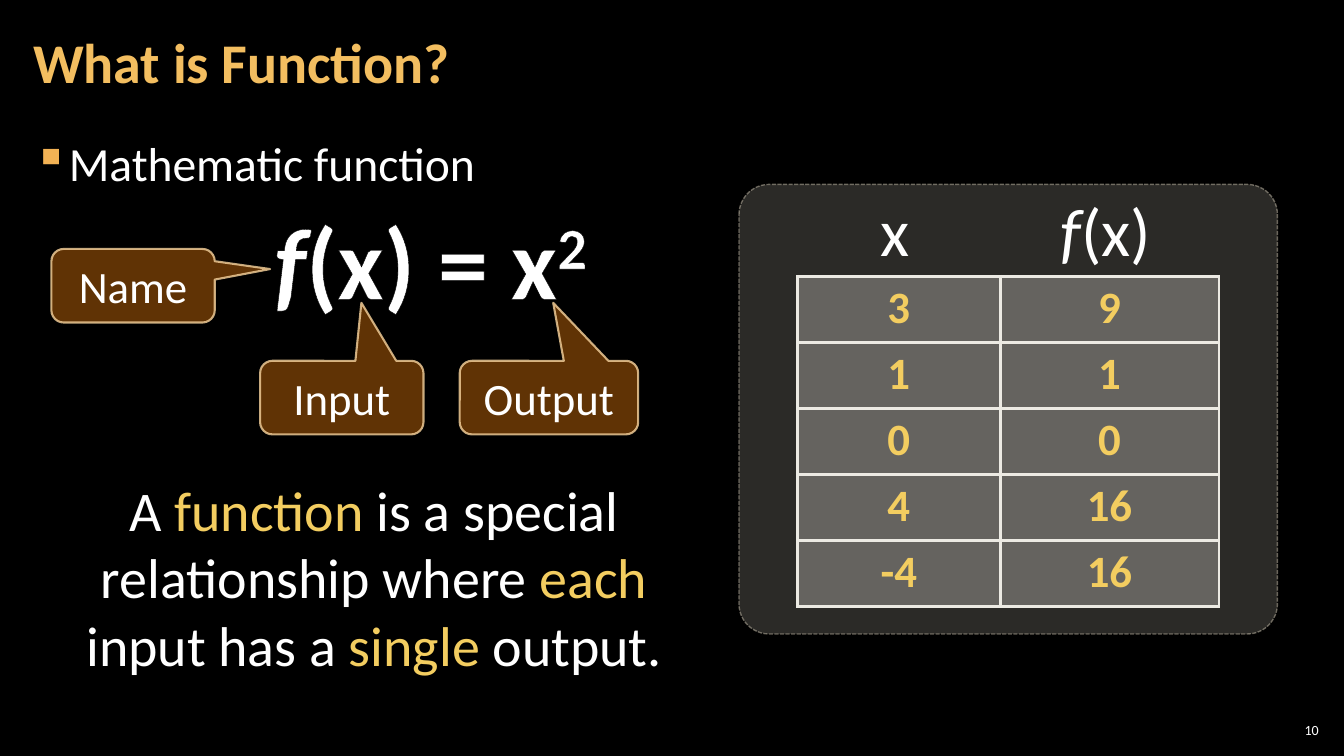
"""Build the slide that explains what a mathematical function is."""
from lxml.etree import SubElement
from pptx import Presentation
from pptx.dml.color import RGBColor
from pptx.enum.dml import MSO_LINE
from pptx.enum.shapes import MSO_SHAPE
from pptx.enum.text import MSO_ANCHOR, PP_ALIGN
from pptx.oxml import parse_xml
from pptx.oxml.ns import nsdecls, qn
from pptx.util import Inches, Pt

TITLE = "What is Function?"
TOPIC = "Mathematic function"
PAGE = "10"
FORMULA = [("f", "italic"), ("(x) = x", ""), ("2", "super")]
CALLOUTS = [
    ("Name", (0.51, 2.47, 1.62), (0.839, -0.226, 0.167)),
    ("Input", (2.58, 3.58, 1.62), (0.12, -1.289, 0.167)),
    ("Output", (4.56, 3.58, 1.77), (0.024, -1.289, 0.167)),
]
HEADINGS = [
    ([("x", "")], (8.13, 1.83, 1.49, 0.91)),
    ([("f", "italic"), ("(x)", "")], (10.16, 1.83, 1.62, 0.91)),
]
VALUES = [("3", "9"), ("1", "1"), ("0", "0"), ("4", "16"), ("-4", "16")]
DEFINITION = [
    ("A ", ""), ("function", "accent"), (" is a special relationship where ", ""),
    ("each", "accent"), (" input has a ", ""), ("single", "accent"), (" output.", ""),
]

THEME = {
    "font": "Calibri", "background": "000000", "text": "FFFFFF",
    "title": "F3BE60", "bullet": "F2B254", "accent": "F3CD60",
    "callout": "663606", "callout_line": "F8D49E",
    "panel": "D9D5C7", "panel_line": "C7BFAC", "grid": "ECEAE3",
    "title_size": 40, "topic_size": 34, "formula_size": 72, "callout_size": 32,
    "heading_size": 48, "value_size": 32, "definition_size": 40, "page_size": 10,
}
CALLOUT_HEIGHT = 0.73
TABLE_LEFT, TABLE_TOP = 7.91, 2.74
COLUMN_WIDTHS = (2.01, 2.17)
ROW_HEIGHT = 0.655
PLACEHOLDER_INSETS = (0.12, 0.04, 0.12, 0.04)


def color(name):
    return RGBColor.from_string(THEME[name])


def paint(fill, name, opacity=100):
    fill.solid()
    fill.fore_color.rgb = color(name)
    if opacity < 100:
        tint = fill._xPr.find(qn("a:solidFill"))[0]
        SubElement(tint, qn("a:alpha"), val=str(opacity * 1000))


def write(paragraph, runs, size, tone="text", bold=False, align=PP_ALIGN.CENTER):
    paragraph.alignment = align
    for words, style in runs:
        run = paragraph.add_run()
        run.text = words
        font = run.font
        font.name = THEME["font"]
        font.size = Pt(THEME[size])
        font.bold = bold
        font.italic = style == "italic"
        font.color.rgb = color("accent" if style == "accent" else tone)
        if style == "super":
            run._r.get_or_add_rPr().set("baseline", "30000")


def add_text(slide, box, runs, size, insets=(0.1, 0.05, 0.1, 0.05),
             anchor=MSO_ANCHOR.TOP, wrap=True, **look):
    frame = slide.shapes.add_textbox(*map(Inches, box)).text_frame
    frame.word_wrap = wrap
    frame.vertical_anchor = anchor
    (frame.margin_left, frame.margin_top,
     frame.margin_right, frame.margin_bottom) = map(Inches, insets)
    paragraph = frame.paragraphs[0]
    write(paragraph, runs, size, **look)
    return paragraph


def add_panel(slide, kind, box, adjustments, fill, line, width):
    (fill_name, fill_opacity), (line_name, line_opacity) = fill, line
    panel = slide.shapes.add_shape(kind, *map(Inches, box))
    panel.shadow.inherit = False
    for index, amount in enumerate(adjustments):
        panel.adjustments[index] = amount
    paint(panel.fill, fill_name, fill_opacity)
    paint(panel.line.fill, line_name, line_opacity)
    panel.line.width = Pt(width)
    return panel


def add_topic(slide):
    topic = add_text(slide, (0.21, 1.26, 12.91, 6.09), [(TOPIC, "")], "topic_size",
                     PLACEHOLDER_INSETS, align=PP_ALIGN.LEFT)
    topic.line_spacing = 1.05
    topic.space_after = Pt(6)
    properties = topic._p.get_or_add_pPr()
    properties.set("marL", str(Inches(0.33)))
    properties.set("indent", str(Inches(-0.33)))
    bullet_color = SubElement(properties, qn("a:buClr"))
    SubElement(bullet_color, qn("a:srgbClr"), val=THEME["bullet"])
    SubElement(properties, qn("a:buChar"), char="▪")


def add_formula(slide):
    formula = add_text(slide, (2.58, 1.92, 3.38, 1.31), FORMULA, "formula_size",
                       wrap=False, bold=True)
    for run in formula.runs:
        run._r.get_or_add_rPr().insert(0, parse_xml(
            f'<a:ln {nsdecls("a")} w="{Pt(0.75)}"><a:solidFill>'
            f'<a:srgbClr val="{THEME["background"]}"/></a:solidFill></a:ln>'))


def add_values(slide):
    table = slide.shapes.add_table(
        len(VALUES), len(COLUMN_WIDTHS), Inches(TABLE_LEFT), Inches(TABLE_TOP),
        Inches(sum(COLUMN_WIDTHS)), Inches(ROW_HEIGHT * len(VALUES))).table
    table.first_row = table.horz_banding = False
    for column, width in zip(table.columns, COLUMN_WIDTHS):
        column.width = Inches(width)
    for row, pair in zip(table.rows, VALUES):
        row.height = Inches(ROW_HEIGHT)
        for cell, value in zip(row.cells, pair):
            paint(cell.fill, "grid", 30)
            write(cell.text_frame.paragraphs[0], [(value, "")], "value_size",
                  "accent", bold=True)
            for position, side in enumerate(("lnL", "lnR", "lnT", "lnB")):
                cell._tc.get_or_add_tcPr().insert(position, parse_xml(
                    f'<a:{side} {nsdecls("a")} w="{Pt(2.25)}"><a:solidFill>'
                    f'<a:srgbClr val="{THEME["grid"]}"/></a:solidFill></a:{side}>'))


def main():
    deck = Presentation()
    deck.slide_width, deck.slide_height = Inches(13.33), Inches(7.5)
    slide = deck.slides.add_slide(deck.slide_layouts[6])
    paint(slide.background.fill, "background")

    add_text(slide, (12.65, 7.14, 0.47, 0.21), [(PAGE, "")], "page_size",
             (0.04,) * 4, MSO_ANCHOR.MIDDLE, align=PP_ALIGN.RIGHT)
    add_topic(slide)
    title = add_text(slide, (0.21, 0.04, 10.47, 1.21), [(TITLE, "")], "title_size",
                     PLACEHOLDER_INSETS, MSO_ANCHOR.MIDDLE, tone="title",
                     bold=True, align=PP_ALIGN.LEFT)
    title.line_spacing = 0.9
    add_formula(slide)

    for label, place, pointer in CALLOUTS:
        callout = add_panel(slide, MSO_SHAPE.ROUNDED_RECTANGULAR_CALLOUT,
                            (*place, CALLOUT_HEIGHT), pointer,
                            ("callout", 95), ("callout_line", 80), 1.5)
        callout.text_frame.word_wrap = True
        callout.text_frame.vertical_anchor = MSO_ANCHOR.MIDDLE
        write(callout.text_frame.paragraphs[0], [(label, "")], "callout_size")

    backdrop = add_panel(slide, MSO_SHAPE.ROUNDED_RECTANGLE, (7.33, 1.83, 5.34, 4.46),
                         (0.067,), ("panel", 20), ("panel_line", 50), 1)
    backdrop.line.dash_style = MSO_LINE.SQUARE_DOT
    add_values(slide)
    for heading, box in HEADINGS:
        add_text(slide, box, heading, "heading_size")
    add_text(slide, (0.59, 4.67, 6.24, 2.12), DEFINITION, "definition_size")
    deck.save("out.pptx")


if __name__ == "__main__":
    main()
